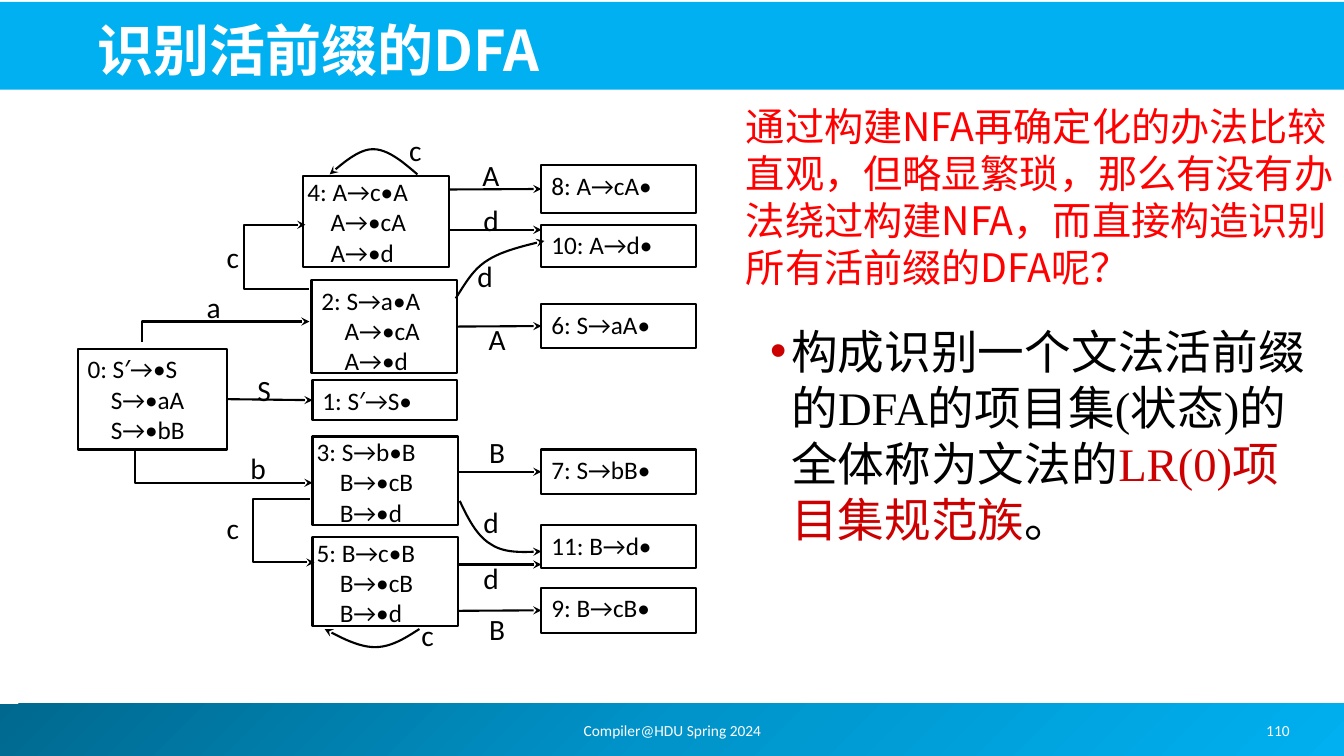
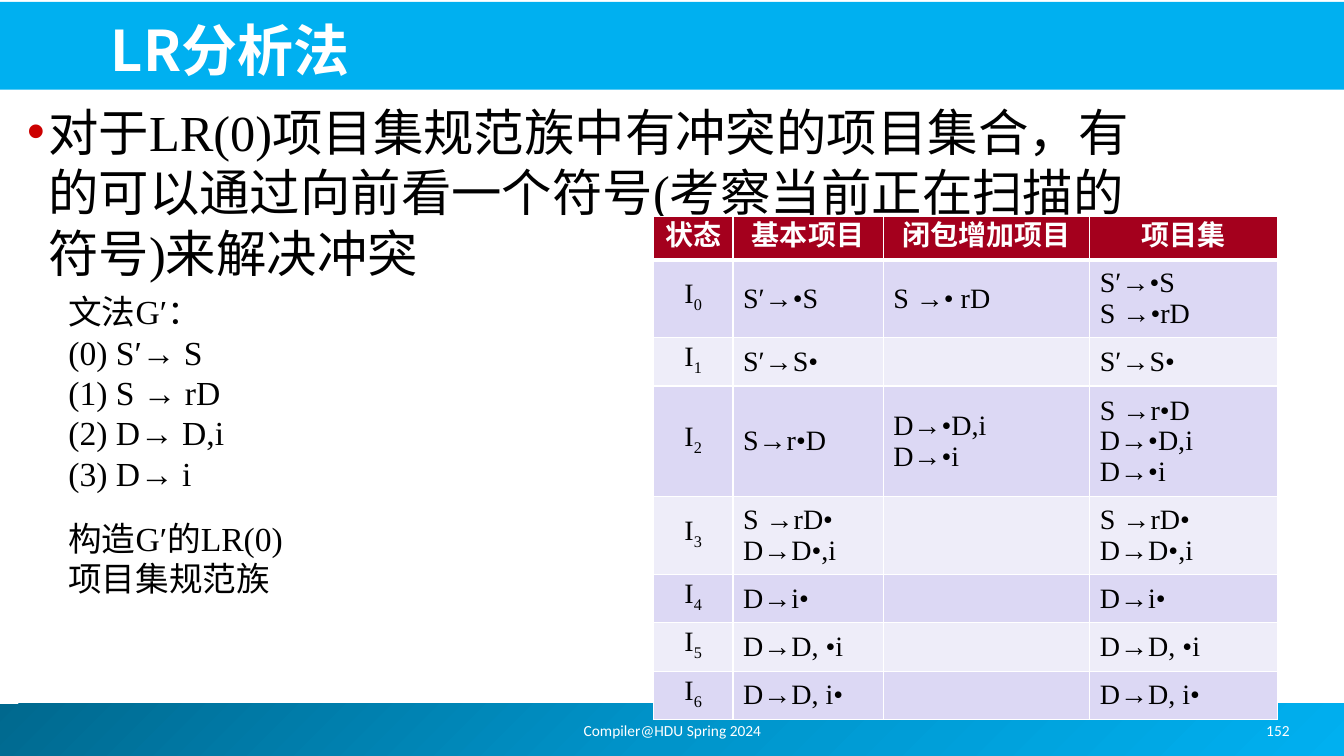
from copy import deepcopy

from lxml import etree
from pptx import Presentation
from pptx.dml.color import RGBColor
from pptx.enum.shapes import MSO_CONNECTOR, MSO_SHAPE
from pptx.enum.text import MSO_ANCHOR, PP_ALIGN
from pptx.oxml.ns import qn
from pptx.util import Inches, Pt

LEFT, CENTER = PP_ALIGN.LEFT, PP_ALIGN.CENTER
TOP, MIDDLE, BOTTOM = MSO_ANCHOR.TOP, MSO_ANCHOR.MIDDLE, MSO_ANCHOR.BOTTOM
RECTANGLE, STRAIGHT = MSO_SHAPE.RECTANGLE, MSO_CONNECTOR.STRAIGHT
LEFT_SIDE, RIGHT_SIDE = 1, 3

COLORS = {
    "band": "00B0F0", "band_middle": "0094CA", "band_dark": "00688E",
    "white": "FFFFFF", "black": "000000", "red": "FF0000", "accent": "CC0000",
    "header": "A4001D", "row_dark": "DCD8F4", "row_light": "EEEDF9",
}
SANS, CJK, SERIF = "Calibri", "Noto Sans CJK JP", "Times New Roman"
FOOTER = "Compiler@HDU Spring 2024"
INSETS = (0.1, 0.05, 0.1, 0.05)
STATE_INDENT = 0.23


def rgb(name):
    return RGBColor.from_string(COLORS[name])


def add_child(parent, tag, **attributes):
    return etree.SubElement(parent, qn(tag), attributes)


def write(frame, paragraphs, size=18, font=SANS, color="black", bold=False,
          align=LEFT, anchor=TOP, insets=INSETS, spacing=1.2, indent=0,
          hanging=0, bullet=None):
    """Fill a frame; a paragraph is a string or a list of (text, overrides).

    indent moves every paragraph, hanging only those after the first.
    """
    frame.word_wrap = True
    frame.vertical_anchor = anchor
    (frame.margin_left, frame.margin_top,
     frame.margin_right, frame.margin_bottom) = map(Inches, insets)
    if isinstance(paragraphs, str):
        paragraphs = [paragraphs]
    for index, runs in enumerate(paragraphs):
        paragraph = frame.add_paragraph() if index else frame.paragraphs[0]
        paragraph.alignment = align
        paragraph.line_spacing = Pt(round(size * spacing, 1))
        properties = paragraph._p.get_or_add_pPr()
        margin = indent + (hanging if index else 0)
        if margin:
            properties.set("marL", str(Inches(margin)))
        if bullet:
            properties.set("indent", str(-Inches(indent)))
            add_child(add_child(properties, "a:buClr"), "a:srgbClr", val=COLORS["accent"])
            add_child(properties, "a:buFont", typeface="Arial")
            add_child(properties, "a:buChar", char=bullet)
        for text, overrides in [(runs, {})] if isinstance(runs, str) else runs:
            run = paragraph.add_run()
            run.text = text
            run.font.size = Pt(size)
            run.font.bold = bold
            run.font.name = overrides.get("font", font)
            run.font.color.rgb = rgb(overrides.get("color", color))
            add_child(run.font._element, "a:ea", typeface=CJK)
            if "baseline" in overrides:
                run.font._element.set("baseline", str(overrides["baseline"] * 1000))


class Deck:
    """The shared style and the slide being drawn."""

    def __init__(self):
        self.presentation = Presentation()
        self.presentation.slide_width = Inches(13.33)
        self.presentation.slide_height = Inches(7.5)
        self.slide = None

    def new_slide(self, title, number, indent=0):
        layout = self.presentation.slide_layouts[6]
        self.slide = self.presentation.slides.add_slide(layout)
        self.footer_band()
        self.box(-0.02, 0.02, 13.36, 0.87, fill="band")
        self.text(0.87, 0.08, 12.06, 0.79, title, size=40, font=CJK,
                  color="white", bold=True, anchor=BOTTOM, indent=indent)
        for left, width, content in ((4.56, 4.22, FOOTER), (12.19, 0.97, number)):
            self.text(left, 7, width, 0.5, content, size=11, color="white",
                      align=CENTER, anchor=MIDDLE)

    def footer_band(self):
        band = self.box(-0.05, 6.98, 13.39, 0.52, fill="band")
        band.fill.gradient()
        band.fill.gradient_angle = 315
        stop_list = band._element.spPr.find(qn("a:gradFill")).find(qn("a:gsLst"))
        stop_list.insert(1, deepcopy(stop_list[0]))
        names = ("band_dark", "band_middle", "band")
        for index, (stop, name) in enumerate(zip(band.fill.gradient_stops, names)):
            stop.position = index / 2
            stop.color.rgb = rgb(name)

    def box(self, left, top, width, height, fill=None, line=None):
        shape = self.slide.shapes.add_shape(
            RECTANGLE, Inches(left), Inches(top), Inches(width), Inches(height))
        self.paint(shape, fill, line)
        return shape

    def paint(self, shape, fill, line):
        shape.shadow.inherit = False
        if fill:
            shape.fill.solid()
            shape.fill.fore_color.rgb = rgb(fill)
        else:
            shape.fill.background()
        if line:
            self.stroke(shape.line, line)
        else:
            shape.line.fill.background()

    def stroke(self, line, color="black", arrow=False):
        line.color.rgb = rgb(color)
        line.width = Pt(1.5)
        if arrow:
            add_child(line._get_or_add_ln(), "a:tailEnd", type="stealth")

    def text(self, left, top, width, height, paragraphs, **style):
        shape = self.slide.shapes.add_textbox(
            Inches(left), Inches(top), Inches(width), Inches(height))
        write(shape.text_frame, paragraphs, **style)

    def state(self, left, top, width, height, items, insets=INSETS):
        shape = self.box(left, top, width, height, line="black")
        write(shape.text_frame, items, insets=insets, hanging=STATE_INDENT)
        return shape

    def label(self, left, top, letter):
        self.text(left, top, 0.44, 0.31, letter, size=21, align=CENTER,
                  anchor=MIDDLE, insets=(0, 0, 0, 0))

    def arrow(self, begin, end, source=None, target=None):
        """Draw a straight arrow, joined to the side middles of given states."""
        connector = self.slide.shapes.add_connector(
            STRAIGHT, *(Inches(value) for value in (*begin, *end)))
        if source:
            connector.begin_connect(source, RIGHT_SIDE)
        if target:
            connector.end_connect(target, LEFT_SIDE)
        self.stroke(connector.line, arrow=True)
        add_child(connector._element.spPr, "a:effectLst")

    def path_arrow(self, points):
        start, *rest = [(Inches(x), Inches(y)) for x, y in points]
        builder = self.slide.shapes.build_freeform(*start)
        builder.add_line_segments(rest, close=False)
        shape = builder.convert_to_shape()
        self.paint(shape, None, "black")
        self.stroke(shape.line, arrow=True)

    def curve_arrow(self, points, steps=12):
        """Draw chained cubic curves: a start, then three points for each."""
        track = [points[0]]
        for first in range(0, len(points) - 1, 3):
            controls = points[first:first + 4]
            for step in range(1, steps + 1):
                t = step / steps
                weights = ((1 - t) ** 3, 3 * t * (1 - t) ** 2, 3 * t * t * (1 - t), t ** 3)
                track.append(tuple(
                    sum(weight * point[axis] for weight, point in zip(weights, controls))
                    for axis in (0, 1)))
        self.path_arrow(track)

    def table(self, left, top, widths, heights, rows):
        table = self.slide.shapes.add_table(
            len(rows), len(widths), Inches(left), Inches(top),
            Inches(sum(widths)), Inches(sum(heights))).table
        for column, width in zip(table.columns, widths):
            column.width = Inches(width)
        for index, (row, height, contents) in enumerate(zip(table.rows, heights, rows)):
            row.height = Inches(height)
            header = index == 0
            fill = "header" if header else "row_dark" if index % 2 else "row_light"
            for position, (cell, content) in enumerate(zip(row.cells, contents)):
                cell.fill.solid()
                cell.fill.fore_color.rgb = rgb(fill)
                cell.vertical_anchor = MIDDLE
                self.borders(cell, 3 if index == 1 else 1, 3 if header else 1)
                if content:
                    write(cell.text_frame, content, size=20, font=SERIF, bold=header,
                          color="white" if header else "black", spacing=1.1,
                          align=CENTER if header or position == 0 else LEFT)
                    cell.vertical_anchor = MIDDLE
                    cell.margin_left = cell.margin_right = Inches(0.1)

    def borders(self, cell, top, bottom):
        properties = cell._tc.get_or_add_tcPr()
        sides = (("L", 1), ("R", 1), ("T", top), ("B", bottom))
        for index, (side, width) in enumerate(sides):
            line = etree.Element(qn("a:ln" + side), w=str(Pt(width)))
            add_child(add_child(line, "a:solidFill"), "a:srgbClr", val=COLORS["white"])
            properties.insert(index, line)


def draw_automaton(deck):
    deck.new_slide("识别活前缀的DFA", "110")
    deck.text(7.3, 0.97, 6.03, 1.99,
              "通过构建NFA再确定化的办法比较直观，但略显繁琐，那么有没有办法绕过构建NFA，"
              "而直接构造识别所有活前缀的DFA呢？", size=28, font=CJK, color="red")

    tight = (0.04, 0, 0.1, 0.05)
    start = deck.state(0.77, 3.46, 1.48, 1, ["0: S′→•S", "S→•aA", "S→•bB"])
    deck.state(3.01, 1.75, 1.44, 0.9, ["4: A→c•A", "A→•cA", "A→•d"], tight)
    after_a = deck.state(3.09, 2.78, 1.44, 0.92, ["2: S→a•A", "A→•cA", "A→•d"])
    accept = deck.state(3.1, 3.77, 1.43, 0.4, "1: S′→S•")
    deck.state(3.1, 4.33, 1.44, 0.88, ["3: S→b•B", "B→•cB", "B→•d"], tight)
    deck.state(3.1, 5.33, 1.44, 0.88, ["5: B→c•B", "B→•cB", "B→•d"], tight)
    final = {
        item.split(":")[0]: deck.state(5.37, top, 1.53, height, item)
        for top, height, item in (
            (1.64, 0.47, "8: A→cA•"), (2.23, 0.42, "10: A→d•"),
            (3.02, 0.43, "6: S→aA•"), (4.46, 0.44, "7: S→bB•"),
            (5.21, 0.43, "11: B→d•"), (5.83, 0.45, "9: B→cB•"))}

    for points in (
            [(1.41, 3.39), (1.41, 3.19), (3.07, 3.19)],
            [(1.34, 4.46), (1.34, 4.79), (3.1, 4.79)],
            [(3.07, 4.95), (2.51, 4.95), (2.51, 5.58), (3.12, 5.58)],
            [(3.06, 2.87), (2.42, 2.87), (2.42, 2.23), (3.03, 2.23)]):
        deck.path_arrow(points)

    deck.arrow((2.25, 3.96), (3.1, 3.97), start, accept)
    deck.arrow((4.53, 3.24), (5.37, 3.24), after_a, final["6"])
    for left, y, target in ((4.45, 1.88, "8"), (4.54, 4.68, "7"), (4.54, 6.06, "9")):
        deck.arrow((left, y), (5.37, y), target=final[target])
    for left, y in ((4.45, 2.28), (4.54, 5.6)):
        deck.arrow((left, y), (5.37, y))

    for points in (
            [(4.56, 4.97), (4.64, 5.14), (4.73, 5.32), (4.87, 5.4),
             (5, 5.49), (5.19, 5.48), (5.37, 5.47)],
            [(4.52, 2.96), (4.61, 2.82), (4.69, 2.67), (4.84, 2.58),
             (4.98, 2.49), (5.19, 2.44), (5.4, 2.39)],
            [(4.16, 6.24), (4.02, 6.33), (3.88, 6.42), (3.72, 6.42),
             (3.56, 6.42), (3.39, 6.33), (3.22, 6.24)],
            [(4.14, 1.73), (4, 1.61), (3.85, 1.48), (3.7, 1.48),
             (3.56, 1.48), (3.41, 1.61), (3.27, 1.73)]):
        deck.curve_arrow(points)

    for left, top, letter in (
            (2.09, 2.39, "c"), (2.09, 5.08, "c"), (2.34, 4.49, "b"), (2.4, 3.71, "S"),
            (1.9, 2.89, "a"), (4.65, 5.02, "d"), (4.65, 1.58, "A"), (3.9, 1.33, "c"),
            (4.02, 6.14, "c"), (4.65, 5.58, "d"), (4.59, 2.58, "d"), (4.65, 2.02, "d"),
            (4.71, 6.08, "B"), (4.71, 3.21, "A"), (4.71, 4.33, "B")):
        deck.label(left, top, letter)

    deck.text(7.54, 3.15, 5.63, 2.04, [[
        ("构成识别一个文法活前缀的DFA的项目集(状态)的全体称为文法的", {}),
        ("LR(0)项目集规范族", {"color": "accent"}), ("。", {})]],
        size=33.3, font=SERIF, indent=0.21, bullet="•")


def draw_item_sets(deck):
    deck.new_slide("LR分析法", "152", indent=0.13)
    deck.text(0.17, 0.95, 11.25, 2.17,
              "对于LR(0)项目集规范族中有冲突的项目集合，有的可以通过向前看一个符号"
              "(考察当前正在扫描的符号)来解决冲突",
              size=36, font=SERIF, indent=0.21, bullet="•")
    deck.text(0.58, 2.84, 2.13, 2.12, [
        [("文法", {"font": CJK}), ("G′：", {})],
        "(0) S′→ S", "(1) S → rD", "(2) D→ D,i", "(3) D→ i"], size=24, font=SERIF)
    deck.text(0.58, 5.09, 2.5, 1.3,
              [[("构造", {"font": CJK}), ("G′的LR(0)项目集规范族", {})]],
              size=24, font=SERIF)

    closure = ["D→•D,i", "D→•i"]
    reduced = ["S →rD•", "D→D•,i"]
    item_sets = [
        ("S′→•S", "S →• rD", ["S′→•S", "S →•rD"]),
        ("S′→S•", "", "S′→S•"),
        ("S→r•D", closure, ["S →r•D", *closure]),
        (reduced, "", reduced),
        *((item, "", item) for item in ("D→i•", "D→D, •i", "D→D, i•")),
    ]
    rows = [("状态", "基本项目", "闭包增加项目", "项目集")]
    rows += [([[("I", {}), (str(index), {"baseline": -25})]], *items)
             for index, items in enumerate(item_sets)]
    deck.table(6.48, 2.15, (0.79, 1.49, 2.05, 1.86),
               (0.43, 0.77, 0.48, 1.1, 0.77, 0.48, 0.48, 0.48), rows)


def main():
    deck = Deck()
    draw_automaton(deck)
    draw_item_sets(deck)
    deck.presentation.save("out.pptx")


if __name__ == "__main__":
    main()
